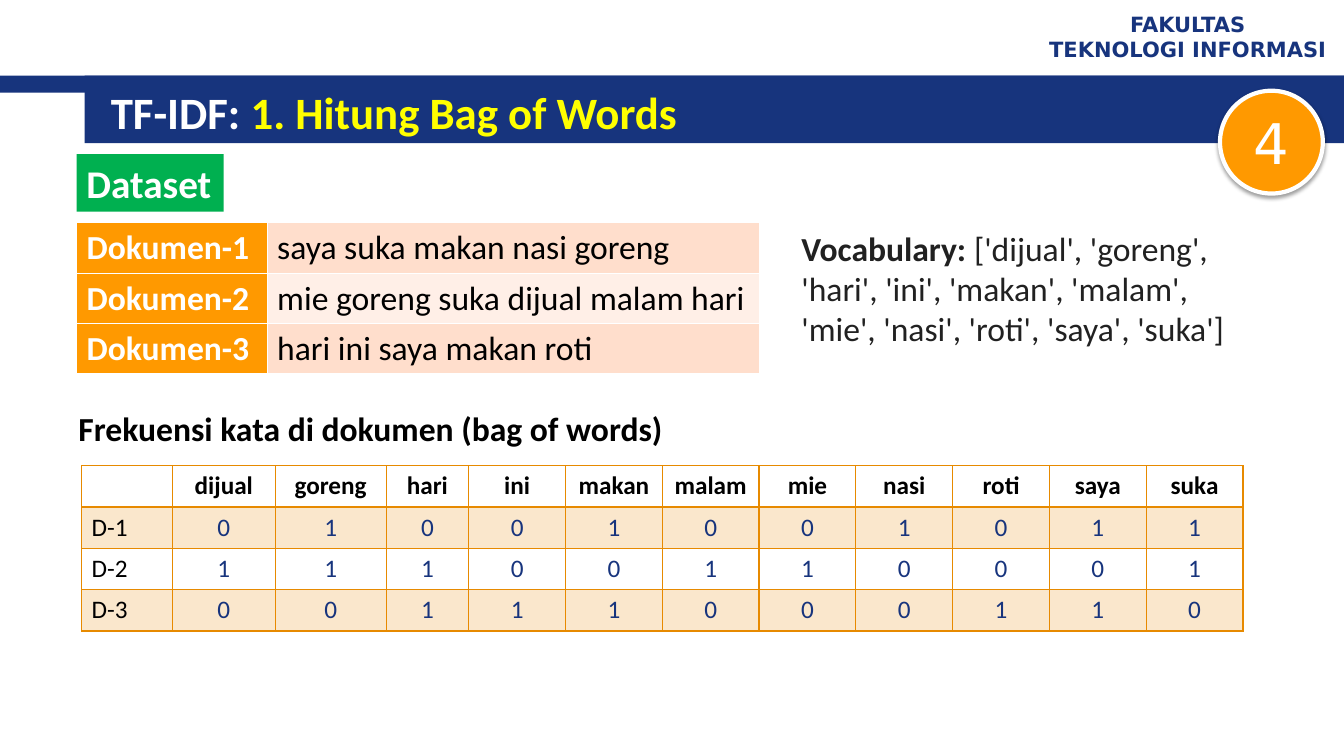
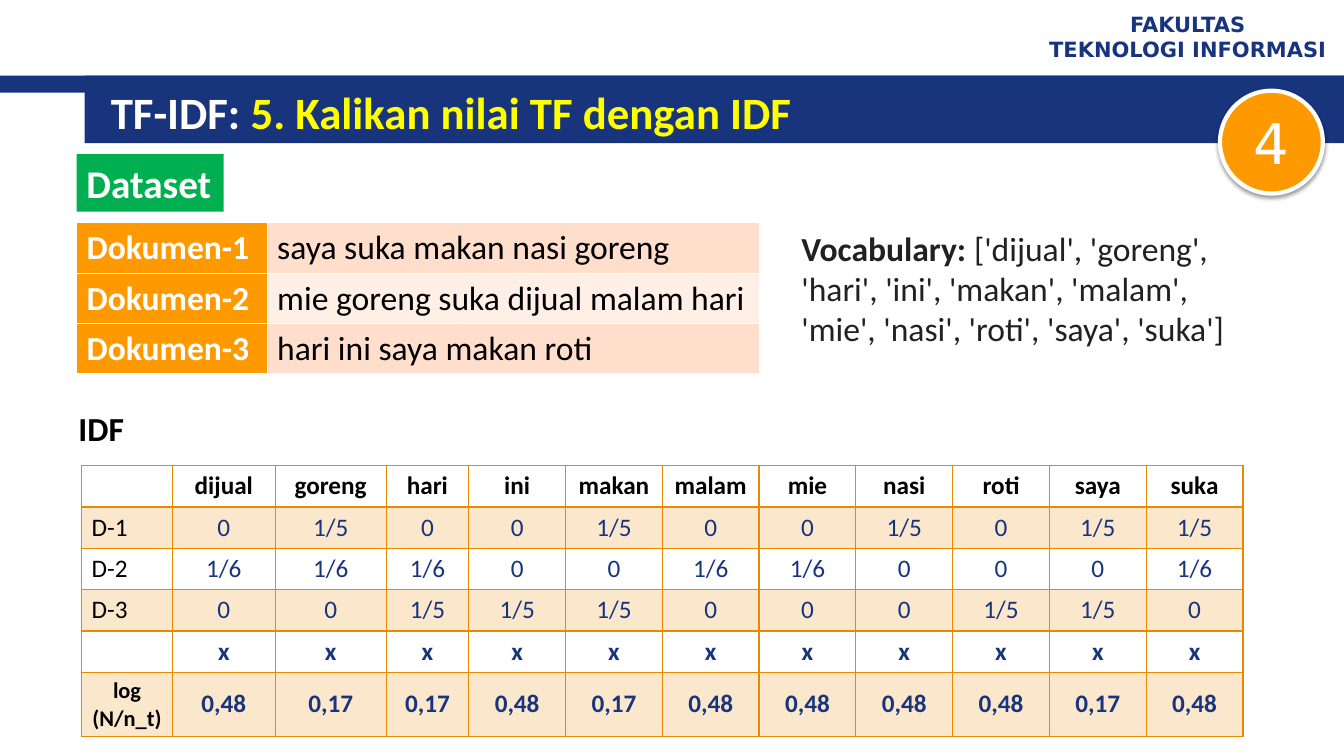
from lxml.etree import SubElement as Sub
from pptx import Presentation
from pptx.dml.color import RGBColor as RGB
from pptx.enum.shapes import MSO_SHAPE as SHAPE
from pptx.enum.text import MSO_ANCHOR as ANCHOR, PP_ALIGN as ALIGN
from pptx.oxml import parse_xml
from pptx.oxml.ns import nsdecls, qn
from pptx.util import Inches, Pt

WIDE, HIGH = 13.33, 7.5
SANS, HEAD = "Calibri", "DejaVu Sans"
COL = {
    "navy": "17347D", "white": "FFFFFF", "black": "000000", "yellow": "FFFF00",
    "green": "00B050", "orange": "FF9900", "peach": "FFDECC", "pale": "FFEFE7",
    "amber": "E78A00", "ink": "212121",
}

DOCS = [
    "saya suka makan nasi goreng",
    "mie goreng suka dijual malam hari",
    "hari ini saya makan roti",
]
VOCAB = sorted({word for doc in DOCS for word in doc.split()})
GRID = [0.9, 1.02, 1.1, 0.82] + [0.96] * 8


def rgb(name):
    return RGB.from_string(COL[name])


def style(par, size, color, bold=False, face=SANS, align=ALIGN.LEFT):
    par.alignment = align
    font = par.font
    font.size, font.bold, font.name = Pt(size), bold, face
    font.color.rgb = rgb(color)


def block(slide, box, shape=None, fill=None):
    """Add a flat shape, or a text box when no shape is given."""
    area = [Inches(v) for v in box]
    if shape is None:
        return slide.shapes.add_textbox(*area)
    part = slide.shapes.add_shape(shape, *area)
    part.shadow.inherit = False
    part.fill.solid()
    part.fill.fore_color.rgb = rgb(fill)
    part.line.fill.background()
    return part


def write(part, lines, *look, wrap=True, anchor=ANCHOR.MIDDLE, **more):
    frame = part.text_frame
    frame.word_wrap, frame.vertical_anchor = wrap, anchor
    for i, line in enumerate(lines):
        par = frame.add_paragraph() if i else frame.paragraphs[0]
        par.text = line
        style(par, *look, **more)
    return frame.paragraphs[0]


def edge(cell, color, **wide):
    """Draw all four borders, 1 pt unless a side is given its own width."""
    props = cell._tc.get_or_add_tcPr()
    for i, side in enumerate("LRTB"):
        props.insert(i, parse_xml(
            f'<a:ln{side} {nsdecls("a")} w="{Pt(wide.get(side, 1))}"><a:solidFill>'
            f'<a:srgbClr val="{COL[color]}"/></a:solidFill></a:ln{side}>'))


def paint(cell, color, alpha=None):
    cell.fill.solid()
    cell.fill.fore_color.rgb = rgb(color)
    if alpha:
        tint = cell._tc.tcPr.find(".//" + qn("a:solidFill") + "/" + qn("a:srgbClr"))
        for node in cell._tc.tcPr.findall(qn("a:solidFill")):
            tint = node.find(qn("a:srgbClr"))
        Sub(tint, qn("a:alpha"), val=str(alpha * 1000))


def table(slide, left, top, cols, count, high):
    area = [Inches(v) for v in (left, top, sum(cols), high * count)]
    tab = slide.shapes.add_table(count, len(cols), *area).table
    tab.first_row = tab.horz_banding = False
    for col, wide in zip(tab.columns, cols):
        col.width = Inches(wide)
    return tab


# Bands, faculty name and title
def header(slide, title):
    top = 0.75
    block(slide, (0, top, WIDE, 0.17), SHAPE.RECTANGLE, "navy")
    block(slide, (0.84, top, WIDE - 0.84, 0.67), SHAPE.RECTANGLE, "navy")
    write(block(slide, (10.23, 0.05, 3.1, 0.62)),
          ["FAKULTAS", "TEKNOLOGI INFORMASI"],
          15, "navy", True, HEAD, ALIGN.CENTER)
    par = write(block(slide, (1, top + 0.05, 11.89, 0.62)),
                ["TF-IDF: "], 32, "white", True)
    run = par.add_run()
    run.text = title
    run.font.color.rgb = rgb("yellow")


# Label, document table and vocabulary
def dataset(slide, left, top):
    tag = block(slide, (left, top, 1.46, 0.57), SHAPE.RECTANGLE, "green")
    write(tag, ["Dataset"], 28, "white", True, wrap=False)
    top += 0.68
    tab = table(slide, left, top, [1.89, 4.88], len(DOCS), 0.5)
    for i, doc in enumerate(DOCS):
        name, body = tab.cell(i, 0), tab.cell(i, 1)
        name.text, body.text = f"Dokumen-{i + 1}", doc
        style(name.text_frame.paragraphs[0], 24, "white", True)
        style(body.text_frame.paragraphs[0], 24, "black")
        paint(name, "orange")
        paint(body, "pale" if i % 2 else "peach")
        for cell in (name, body):
            edge(cell, "white")
    par = write(block(slide, (left + 7.09, top, 4.57, 1.31)),
                ["Vocabulary:"], 24, "ink", anchor=ANCHOR.TOP)
    par.runs[0].font.bold = True
    par.add_run().text = f" {VOCAB}"


# Caption and word table; rows after the documents are bold
def words(slide, left, top, title, rows):
    write(block(slide, (left - 0.13, top, 6.05, 0.5)), [title],
          24, "black", True, wrap=False, anchor=ANCHOR.TOP)
    rows = [["", *VOCAB], *rows]
    tab = table(slide, left, top + 0.62, GRID, len(rows), 0.41)
    for i, row in enumerate(rows):
        head, extra = i == 0, i > len(DOCS)
        for j, text in enumerate(row):
            cell = tab.cell(i, j)
            cell.text = text
            side = j == 0
            style(cell.text_frame.paragraphs[0],
                  16 if side and extra and text else 18,
                  "black" if head or side else "navy", head or extra,
                  align=ALIGN.LEFT if side and not extra else ALIGN.CENTER)
            if extra and not side:
                cell.vertical_anchor = ANCHOR.MIDDLE
            if i % 2:
                paint(cell, "amber", 20)
            else:
                cell.fill.background()
            edge(cell, "amber", B=2 if head else 1)


# Round chapter number
def badge(slide, left, top, text):
    disc = block(slide, (left, top, 1.02, 1.02), SHAPE.OVAL, "orange")
    disc.line.color.rgb = rgb("white")
    disc.line.width = Pt(3)
    glow = disc._element.spPr.find(qn("a:effectLst"))
    glow.append(parse_xml(
        f'<a:outerShdw {nsdecls("a")} blurRad="{Pt(3.1)}" dist="{Pt(1.6)}" '
        f'dir="5400000" rotWithShape="0"><a:srgbClr val="{COL["black"]}">'
        '<a:alpha val="38000"/></a:srgbClr></a:outerShdw>'))
    write(disc, [text], 40, "white", False, HEAD, ALIGN.CENTER)


def counts(part=False):
    """Rows of word counts, or of shares of the document's length."""
    rows = []
    for i, doc in enumerate(DOCS):
        found = doc.split()
        one = f"1/{len(found)}" if part else "1"
        rows.append([f"D-{i + 1}", *(one if w in found else "0" for w in VOCAB)])
    return rows


def weights():
    """Times signs, then the inverse frequency of each word."""
    idf = {1: "0,48", 2: "0,17"}
    hits = [sum(w in doc.split() for doc in DOCS) for w in VOCAB]
    # The slide shows 0,48 for these words
    shown = [idf[1] if w == "suka" else idf[n] for w, n in zip(VOCAB, hits)]
    return [["", *"x" * len(VOCAB)], ["log (N/n_t)", *shown]]


def page(deck, title, caption, rows):
    slide = deck.slides.add_slide(deck.slide_layouts[6])
    header(slide, title)
    dataset(slide, 0.76, 1.53)
    words(slide, 0.81, 4, caption, rows)
    badge(slide, 12.1, 0.9, "4")


def main():
    deck = Presentation()
    deck.slide_width, deck.slide_height = Inches(WIDE), Inches(HIGH)
    page(deck, "1. Hitung Bag of Words",
         "Frekuensi kata di dokumen (bag of words)", counts())
    page(deck, "5. Kalikan nilai TF dengan IDF", "IDF", counts(True) + weights())
    deck.save("out.pptx")


if __name__ == "__main__":
    main()
